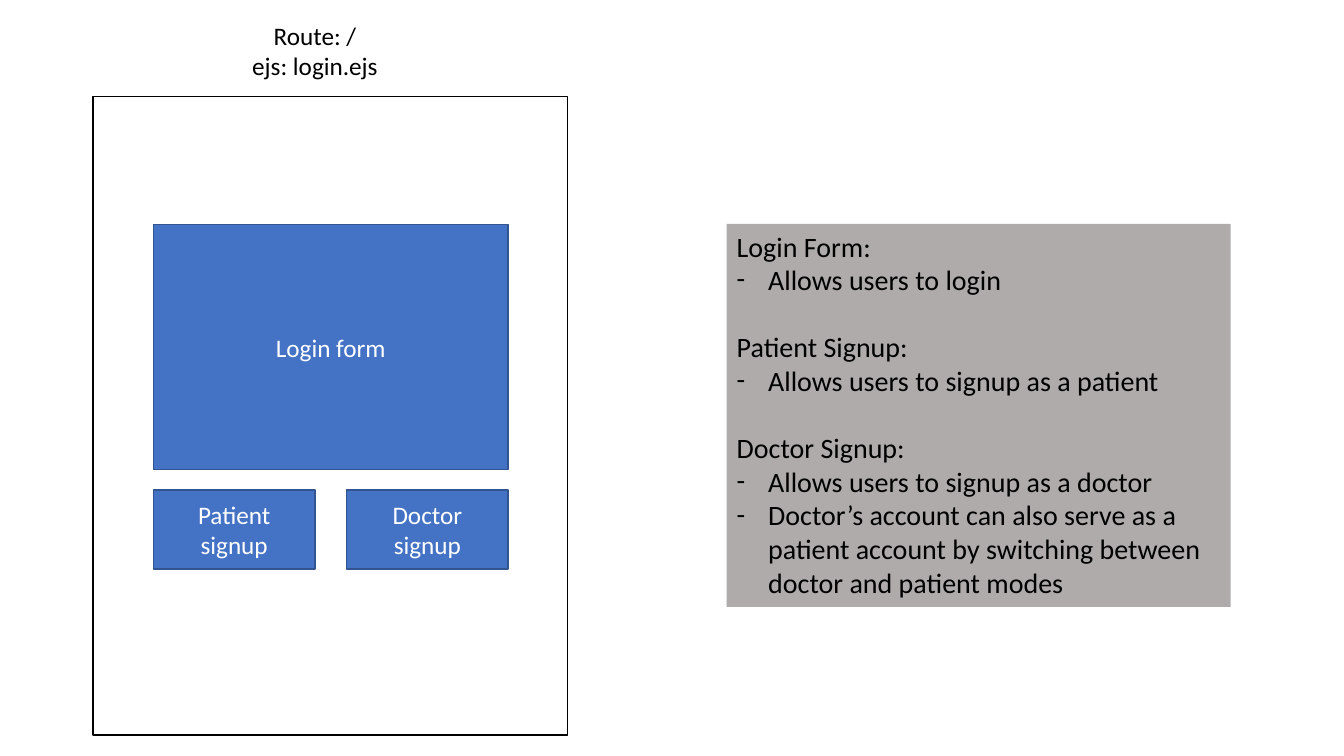
from lxml.etree import SubElement
from pptx import Presentation
from pptx.dml.color import RGBColor
from pptx.enum.shapes import MSO_SHAPE
from pptx.enum.text import MSO_ANCHOR, MSO_AUTO_SIZE, PP_ALIGN
from pptx.oxml.ns import qn
from pptx.util import Pt


def paint(color_format, color):
    color_format.rgb = RGBColor.from_string(color)


def write(para, text, size, color, align):
    para.text = text
    para.alignment = align
    para.line_spacing = 1.0
    para.space_before = Pt(0)
    para.font.name = "Calibri"
    para.font.size = Pt(size)
    paint(para.font.color, color)


deck = Presentation()
deck.slide_width, deck.slide_height = Pt(960), Pt(540)
page = deck.slides.add_slide(deck.slide_layouts[1])

route = page.shapes.title
route.left, route.top, route.width, route.height = Pt(133), Pt(11), Pt(184), Pt(51)
route.text_frame.vertical_anchor = MSO_ANCHOR.TOP
route.text_frame.auto_size = MSO_AUTO_SIZE.NONE
write(route.text_frame.paragraphs[0], "Route: /\vejs: login.ejs", 18, "000000", PP_ALIGN.CENTER)

screen = page.shapes.add_shape(MSO_SHAPE.RECTANGLE, Pt(66.5), Pt(69), Pt(339), Pt(456))
screen.shadow.inherit = False
screen.fill.background()
paint(screen.line.color, "000000")
screen.line.width = Pt(1)

form_left, form_width, button_width = 109.5, 253.5, 115.5
controls = [
    ("Login form", form_left, 160.5, form_width, 175),
    ("Patient signup", form_left, 350, button_width, 56.5),
    ("Doctor signup", form_left + form_width - button_width, 350, button_width, 56.5),
]
for label, left, top, width, height in controls:
    box = page.shapes.add_shape(MSO_SHAPE.RECTANGLE, Pt(left), Pt(top), Pt(width), Pt(height))
    box.shadow.inherit = False
    box.fill.solid()
    paint(box.fill.fore_color, "4472C4")
    paint(box.line.color, "325491")
    box.line.width = Pt(1)
    box.text_frame.word_wrap = True
    box.text_frame.vertical_anchor = MSO_ANCHOR.MIDDLE
    write(box.text_frame.paragraphs[0], label, 18, "FFFFFF", PP_ALIGN.CENTER)

notes = page.placeholders[1]
notes.left, notes.top, notes.width, notes.height = Pt(519), Pt(160), Pt(360), Pt(273.5)
notes.fill.solid()
paint(notes.fill.fore_color, "AFABAB")
notes.text_frame.auto_size = MSO_AUTO_SIZE.NONE

sections = [
    ("Login Form:", ["Allows users to login"]),
    ("Patient Signup:", ["Allows users to signup as a patient"]),
    ("Doctor Signup:", [
        "Allows users to signup as a doctor",
        "Doctor’s account can also serve as a patient account "
        "by switching between doctor and patient modes",
    ]),
]
lines = [(text, text == heading) for heading, items in sections for text in [heading, *items]]
for index, (text, is_heading) in enumerate(lines):
    para = notes.text_frame.paragraphs[0] if index == 0 else notes.text_frame.add_paragraph()
    properties = para._p.get_or_add_pPr()
    indent = 0 if is_heading else Pt(22.5)
    properties.set("marL", str(indent))
    properties.set("indent", str(-indent))
    if is_heading:
        SubElement(properties, qn("a:buNone"))
    else:
        SubElement(properties, qn("a:buFont"), typeface="Calibri")
        SubElement(properties, qn("a:buChar"), char="-")
    write(para, text, 20, "000000", PP_ALIGN.LEFT)
    if is_heading and index > 0:
        para.space_before = Pt(24)

deck.save("out.pptx")
